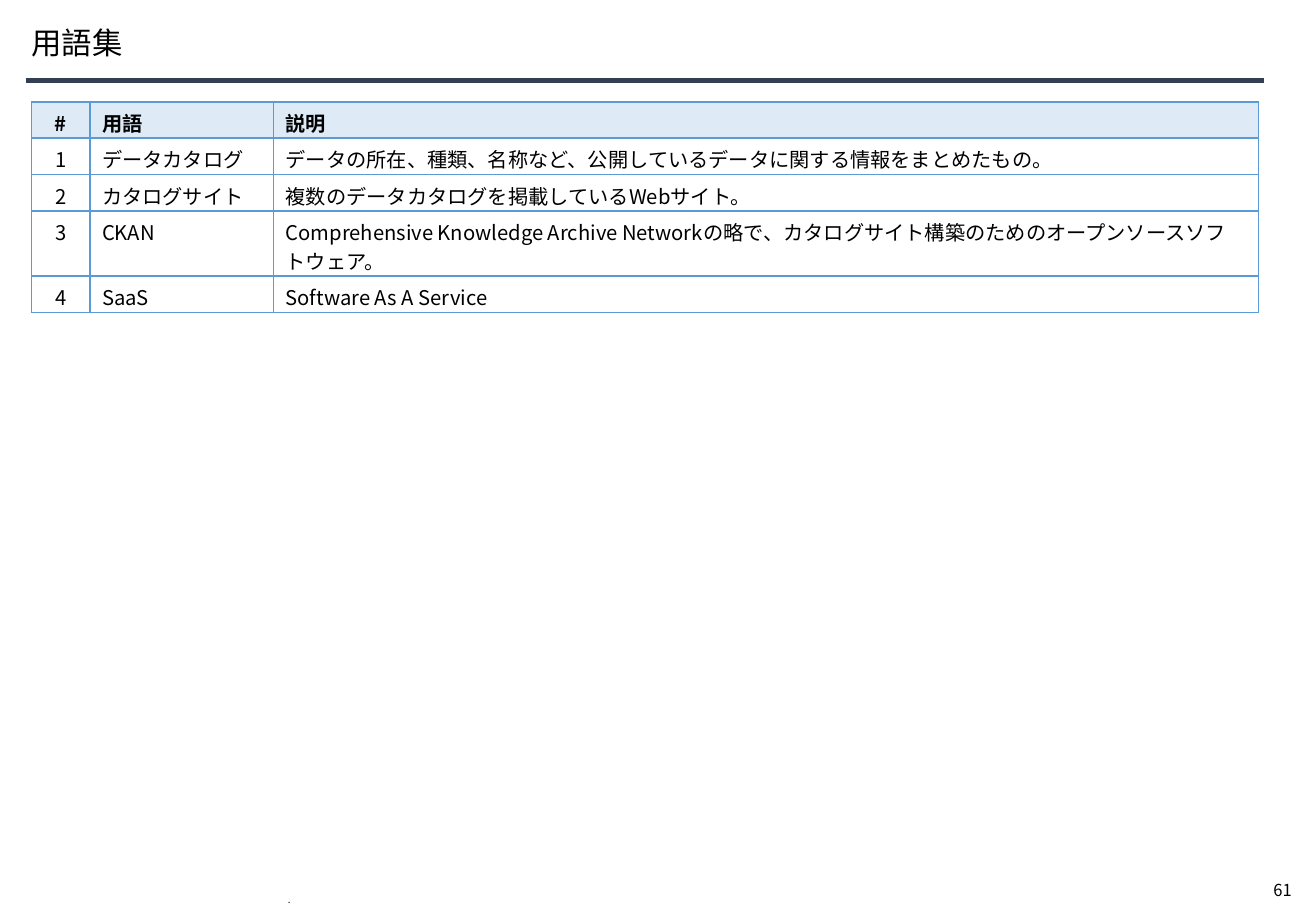
"""Build the glossary slide with its title, rule, term table and page number."""
from lxml.etree import SubElement
from pptx import Presentation
from pptx.dml.color import RGBColor
from pptx.enum.shapes import MSO_CONNECTOR
from pptx.enum.text import MSO_ANCHOR as Anchor, PP_ALIGN as Align
from pptx.oxml import parse_xml
from pptx.oxml.ns import nsdecls, qn
from pptx.util import Cm, Pt

TITLE = "用語集"
PAGE_NUMBER = "61"
FOOTER_MARK = "."
HEADER = ("#", "用語", "説明")
TERMS = [
    ("データカタログ", "データの所在、種類、名称など、公開しているデータに関する情報をまとめたもの。"),
    ("カタログサイト", "複数のデータカタログを掲載しているWebサイト。"),
    ("CKAN", "Comprehensive Knowledge Archive Networkの略で、"
             "カタログサイト構築のためのオープンソースソフトウェア。"),
    ("SaaS", "Software As A Service"),
]
COLUMN_WIDTHS = (1.22, 3.84, 20.6)
ROW_HEIGHTS = (0.76, 0.76, 0.76, 1.27, 0.76)
FONT = "Noto Sans CJK JP"
COLORS = {"text": "000000", "rule": "333F50", "border": "5B9BD5", "header": "DEEBF7"}


def color(name):
    return RGBColor.from_string(COLORS[name])


def format_text(text_frame, size, bold=False, align=Align.LEFT):
    for paragraph in text_frame.paragraphs:
        paragraph.alignment = align
        for run in paragraph.runs:
            run.font.size = Pt(size)
            run.font.bold = bold
            run.font.name = FONT
            run.font.color.rgb = color("text")
            SubElement(run.font._element, qn("a:ea"), typeface=FONT)


def add_text(slide, text, size, left, top, width, height):
    text_frame = slide.shapes.add_textbox(Cm(left), Cm(top), Cm(width), Cm(height)).text_frame
    text_frame.text = text
    format_text(text_frame, size)
    return text_frame


def add_borders(cell):
    properties = cell._tc.get_or_add_tcPr()
    for index, side in enumerate(("lnL", "lnR", "lnT", "lnB")):
        properties.insert(index, parse_xml(
            f'<a:{side} {nsdecls("a")} w="{Pt(1)}"><a:solidFill>'
            f'<a:srgbClr val="{COLORS["border"]}"/></a:solidFill></a:{side}>'))


def add_title(slide):
    title = slide.shapes.title
    title.left, title.top, title.width, title.height = Cm(0.66), Cm(0.33), Cm(25.2), Cm(1.19)
    text_frame = title.text_frame
    text_frame.text = TITLE
    text_frame.vertical_anchor = Anchor.MIDDLE
    text_frame.margin_left = 0
    text_frame.paragraphs[0].line_spacing = 0.9
    format_text(text_frame, 18)


def add_rule(slide):
    rule = slide.shapes.add_connector(
        MSO_CONNECTOR.STRAIGHT, Cm(0.54), Cm(1.68), Cm(26.44), Cm(1.68))
    rule.line.color.rgb = color("rule")
    rule.line.width = Pt(3)
    SubElement(rule._element.spPr, qn("a:effectLst"))


def add_glossary(slide):
    rows = [HEADER] + [(str(number), *term) for number, term in enumerate(TERMS, 1)]
    table = slide.shapes.add_table(
        len(rows), len(HEADER), Cm(0.66), Cm(2.13),
        Cm(sum(COLUMN_WIDTHS)), Cm(sum(ROW_HEIGHTS))).table
    table.horz_banding = False
    for column, width in zip(table.columns, COLUMN_WIDTHS):
        column.width = Cm(width)
    for row_index, (values, height) in enumerate(zip(rows, ROW_HEIGHTS)):
        is_header = row_index == 0
        table.rows[row_index].height = Cm(height)
        for column_index, value in enumerate(values):
            cell = table.cell(row_index, column_index)
            cell.text = value
            cell.margin_top, cell.margin_bottom = Cm(0.13), 0
            format_text(cell.text_frame, 12, is_header,
                        Align.CENTER if column_index == 0 else Align.LEFT)
            if is_header:
                cell.fill.solid()
                cell.fill.fore_color.rgb = color("header")
            else:
                cell.fill.background()
            add_borders(cell)


def main():
    presentation = Presentation()
    presentation.slide_width, presentation.slide_height = Cm(27.52), Cm(19.05)
    slide = presentation.slides.add_slide(presentation.slide_layouts[5])
    add_title(slide)
    add_rule(slide)
    add_glossary(slide)
    add_text(slide, PAGE_NUMBER, 9.8, 26.38, 18.28, 1.1, 0.69)
    footer = add_text(slide, FOOTER_MARK, 5.7, 5.77, 18.69, 16, 0.36)
    footer.word_wrap = True
    footer.vertical_anchor = Anchor.BOTTOM
    footer.paragraphs[0].line_spacing = Pt(1.6)
    presentation.save("out.pptx")


if __name__ == "__main__":
    main()
